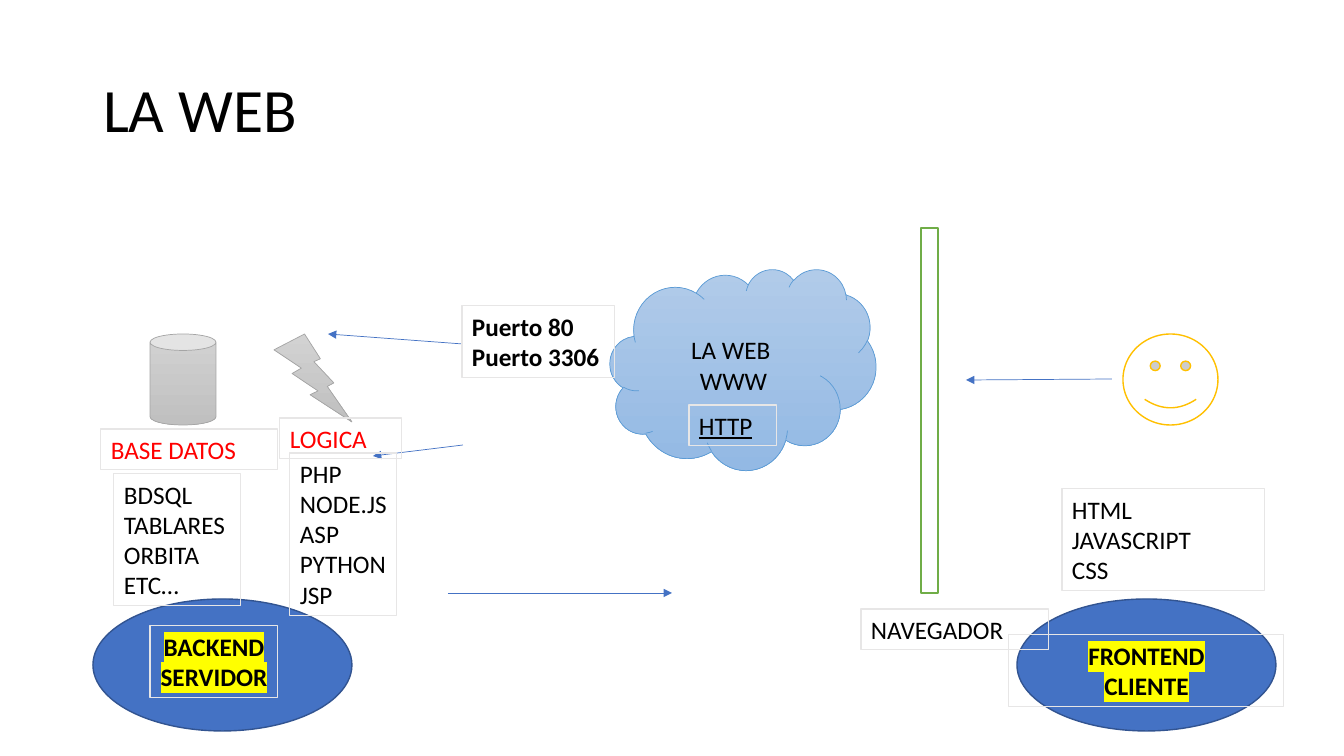
from dataclasses import dataclass

from lxml.etree import SubElement
from pptx import Presentation
from pptx.dml.color import RGBColor
from pptx.enum.shapes import MSO_CONNECTOR, MSO_SHAPE
from pptx.enum.text import MSO_ANCHOR, MSO_AUTO_SIZE, PP_ALIGN
from pptx.oxml.ns import qn
from pptx.util import Pt

EMU_PER_PIXEL = 914400 / 100.8
FONT = "Calibri"
COLORS = {
    "white": "FFFFFF", "black": "000000", "red": "FF0000", "yellow": "FFFF00",
    "blue": "4472C4", "navy": "325491", "sky": "5B9BD5",
    "sky_top": "B1CBE9", "sky_bottom": "93B9E4",
    "gray": "A5A5A5", "gray_top": "D2D2D2", "gray_bottom": "C0C0C0",
    "gold": "FFC000", "green": "70AD47", "frame": "E7E6E6",
}


@dataclass
class Figure:
    preset: MSO_SHAPE
    box: tuple[int, int, int, int]
    fills: tuple[str, ...]
    line: str
    line_width: float
    lines: tuple[str, ...] = ()


@dataclass
class Label:
    box: tuple[int, int, int, int]
    lines: tuple[str, ...]
    color: str = "black"
    bold: bool = False
    underline: bool = False
    highlighted: bool = False
    wrap: bool = False


@dataclass
class Arrow:
    start: tuple[int, int]
    end: tuple[int, int]


def px(*lengths: int) -> list[int]:
    return [round(length * EMU_PER_PIXEL) for length in lengths]


def rgb(name: str) -> RGBColor:
    return RGBColor.from_string(COLORS[name])


def write_lines(frame, lines: tuple[str, ...], color: str, size: int, align: PP_ALIGN) -> None:
    for index, line in enumerate(lines):
        paragraph = frame.paragraphs[0] if index == 0 else frame.add_paragraph()
        paragraph.text = line
        paragraph.alignment = align
        paragraph.font.name = FONT
        paragraph.font.size = Pt(size)
        paragraph.font.color.rgb = rgb(color)


def draw_figure(slide, figure: Figure) -> None:
    shape = slide.shapes.add_shape(figure.preset, *px(*figure.box))
    shape.shadow.inherit = False
    if len(figure.fills) == 1:
        shape.fill.solid()
        shape.fill.fore_color.rgb = rgb(figure.fills[0])
    else:
        shape.fill.gradient()
        shape.fill.gradient_angle = 270
        for stop, color in zip(shape.fill.gradient_stops, figure.fills):
            stop.color.rgb = rgb(color)
    shape.line.color.rgb = rgb(figure.line)
    shape.line.width = Pt(figure.line_width)
    if figure.lines:
        shape.text_frame.vertical_anchor = MSO_ANCHOR.MIDDLE
        write_lines(shape.text_frame, figure.lines, "black", 18, PP_ALIGN.CENTER)


def draw_label(slide, label: Label) -> None:
    box = slide.shapes.add_textbox(*px(*label.box))
    box.line.color.rgb = rgb("frame")
    box.line.width = Pt(0.75)
    frame = box.text_frame
    frame.word_wrap = label.wrap
    align = PP_ALIGN.CENTER if label.highlighted else PP_ALIGN.LEFT
    write_lines(frame, label.lines, label.color, 18, align)
    for paragraph in frame.paragraphs:
        paragraph.font.bold = label.bold
        paragraph.font.underline = label.underline
        if label.highlighted:
            properties = paragraph.runs[0].font._element
            highlight = SubElement(properties, qn("a:highlight"))
            SubElement(highlight, qn("a:srgbClr"), val=COLORS["yellow"])


def draw_arrow(slide, arrow: Arrow) -> None:
    connector = slide.shapes.add_connector(
        MSO_CONNECTOR.STRAIGHT, *px(*arrow.start, *arrow.end))
    connector.line.color.rgb = rgb("blue")
    connector.line.width = Pt(0.5)
    SubElement(connector.line._get_or_add_ln(), qn("a:tailEnd"), type="triangle")
    SubElement(connector._element.spPr, qn("a:effectLst"))


FIGURES = [
    *(Figure(MSO_SHAPE.OVAL, (left, 599, 259, 132), ("blue",), "navy", 1)
      for left in (93, 1017)),
    Figure(MSO_SHAPE.CLOUD, (610, 269, 266, 201), ("sky_top", "sky_bottom"), "sky", 0.5,
           ("LA WEB ", "WWW")),
    Figure(MSO_SHAPE.CAN, (150, 334, 66, 91), ("gray_top", "gray_bottom"), "gray", 0.5),
    Figure(MSO_SHAPE.SMILEY_FACE, (1123, 334, 95, 91), ("white",), "gold", 1),
    Figure(MSO_SHAPE.LIGHTNING_BOLT, (274, 334, 78, 88), ("gray_top", "gray_bottom"), "gray", 0.5),
    Figure(MSO_SHAPE.RECTANGLE, (921, 228, 17, 365), ("white",), "green", 1),
]
ARROWS = [
    Arrow((1112, 379), (966, 380)),
    Arrow((463, 344), (328, 334)),
    Arrow((463, 445), (373, 456)),
    Arrow((448, 593), (672, 593)),
]
LABELS = [
    Label((1009, 635, 275, 72), ("FRONTEND", "CLIENTE"), bold=True, highlighted=True, wrap=True),
    Label((150, 626, 128, 72), ("BACKEND", "SERVIDOR"), bold=True, highlighted=True),
    Label((861, 609, 188, 41), ("NAVEGADOR",), wrap=True),
    Label((101, 429, 177, 41), ("BASE DATOS",), color="red", wrap=True),
    Label((280, 418, 122, 41), ("LOGICA",), color="red", wrap=True),
    Label((462, 306, 153, 72), ("Puerto 80", "Puerto 3306"), bold=True),
    Label((290, 453, 107, 163), ("PHP", "NODE.JS", "ASP", "PYTHON", "JSP")),
    Label((1062, 489, 203, 102), ("HTML", "JAVASCRIPT", "CSS"), wrap=True),
    Label((689, 405, 88, 41), ("HTTP",), underline=True, wrap=True),
    Label((114, 474, 127, 132), ("BDSQL", "TABLARES", "ORBITA", "ETC…"), wrap=True),
]

presentation = Presentation()
presentation.slide_width, presentation.slide_height = px(1344, 756)
slide = presentation.slides.add_slide(presentation.slide_layouts[5])

title = slide.shapes.title
title.left, title.top, title.width, title.height = px(93, 40, 1159, 146)
title.text_frame.auto_size = MSO_AUTO_SIZE.NONE
title.text_frame.vertical_anchor = MSO_ANCHOR.MIDDLE
write_lines(title.text_frame, ("LA WEB",), "black", 44, PP_ALIGN.LEFT)
title.text_frame.paragraphs[0].line_spacing = 0.9

for figure in FIGURES:
    draw_figure(slide, figure)
for arrow in ARROWS:
    draw_arrow(slide, arrow)
for label in LABELS:
    draw_label(slide, label)

presentation.save("out.pptx")
